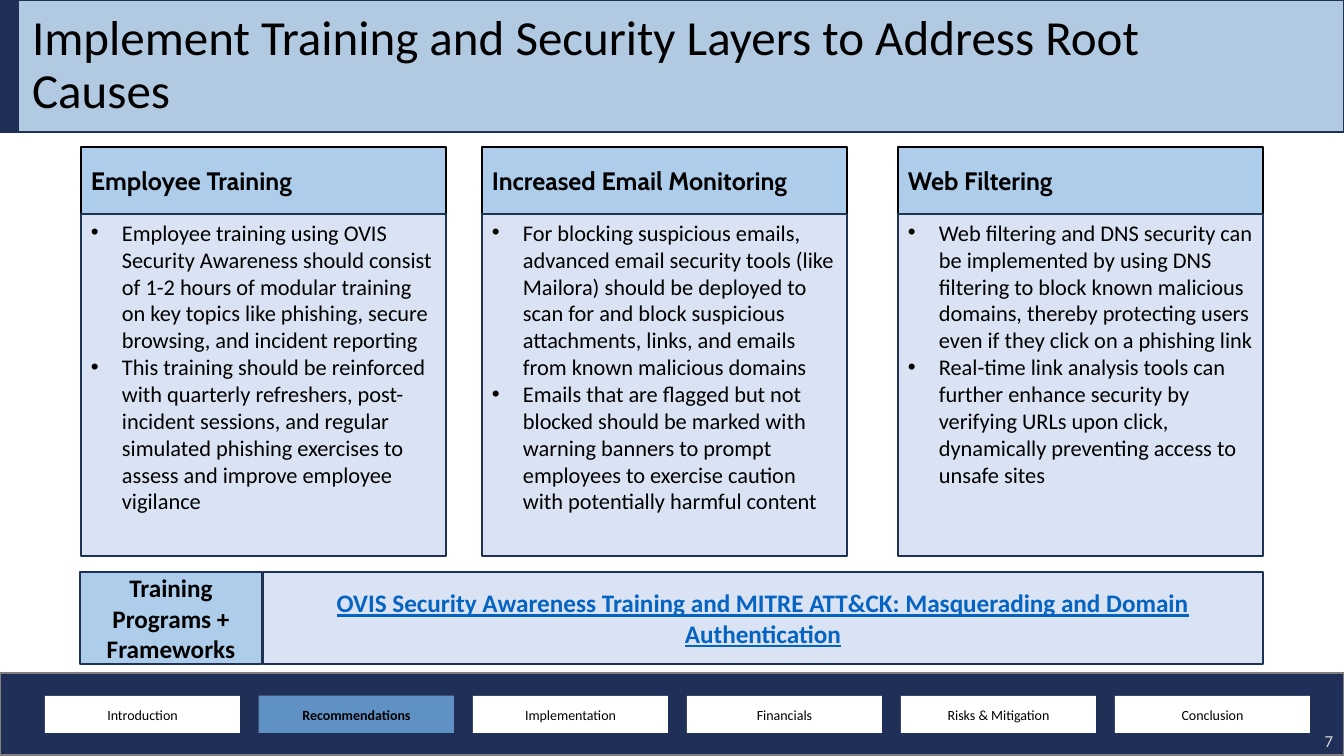
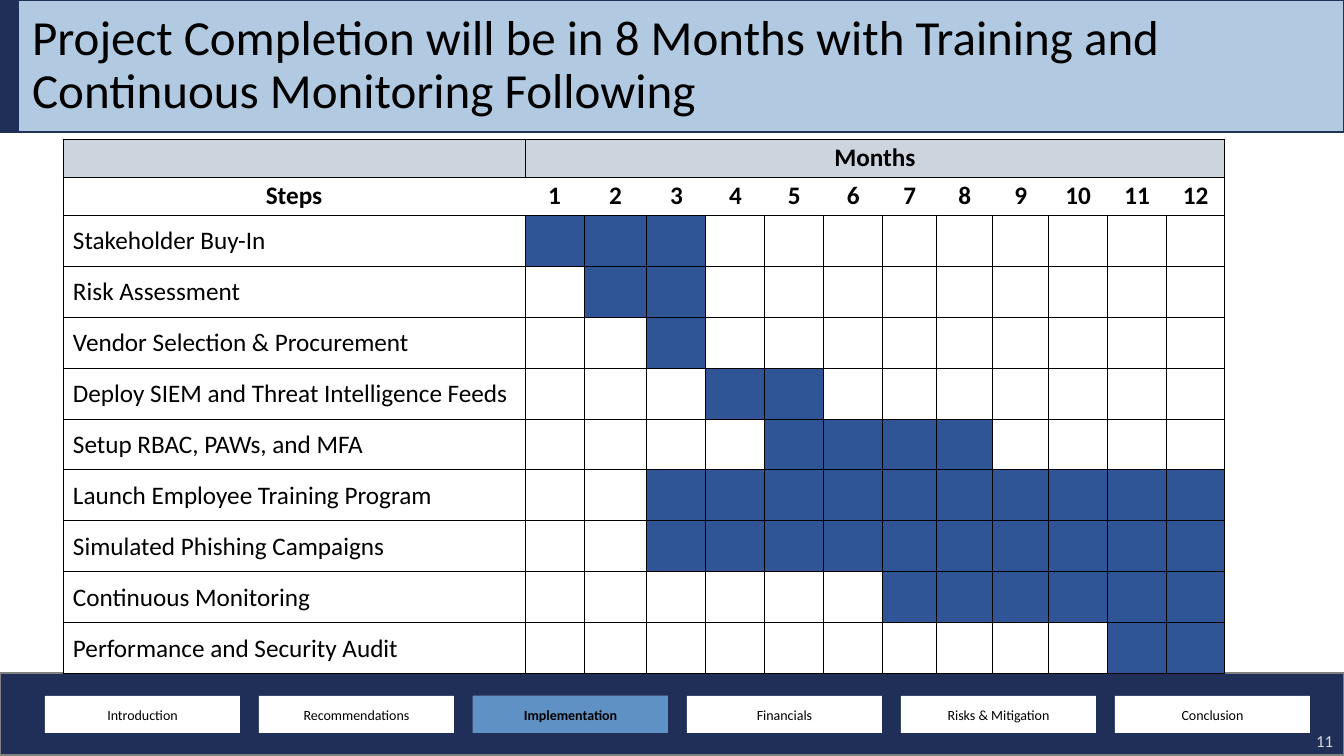
from dataclasses import dataclass

from lxml.etree import SubElement
from pptx import Presentation
from pptx.dml.color import RGBColor
from pptx.enum.shapes import MSO_SHAPE
from pptx.enum.text import MSO_ANCHOR, MSO_AUTO_SIZE, PP_ALIGN
from pptx.oxml.ns import qn
from pptx.util import Pt

EMU_PER_PX = 914400 / 100.8
SLIDE_WIDTH, SLIDE_HEIGHT = 1344, 756


@dataclass(frozen=True)
class Theme:
    # Colours
    navy: str = "1F2F57"
    outline: str = "1E3256"
    title_band: str = "6091C3"
    footer_line: str = "808080"
    active_tab: str = "6091C4"
    card_header: str = "5B9BD5"
    card_body: str = "DAE3F3"
    framework: str = "B4C7E7"
    link: str = "0563C1"
    table_header: str = "CCD4DE"
    scheduled: str = "2F5597"
    page_number: str = "D9D9D9"
    black: str = "000000"
    white: str = "FFFFFF"
    tint: int = 49
    # Type
    font: str = "Calibri"
    header_font: str = "Cabin"
    title_size: int = 35
    heading_size: int = 18
    body_size: int = 16
    number_size: int = 12
    tab_size: int = 10


THEME = Theme()

# Navigation tabs
TABS = ("Introduction", "Recommendations", "Implementation", "Financials",
        "Risks & Mitigation", "Conclusion")
TAB_LEFT, TAB_TOP, TAB_WIDTH, TAB_HEIGHT, TAB_PITCH = 45, 696, 195, 37, 214

# Recommendation cards: left edge, heading, bullets
CARDS = (
    (81, "Employee Training", (
        "Employee training using OVIS Security Awareness should consist of 1-2 hours of "
        "modular training on key topics like phishing, secure browsing, and incident reporting",
        "This training should be reinforced with quarterly refreshers, post-incident sessions, "
        "and regular simulated phishing exercises to assess and improve employee vigilance")),
    (482, "Increased Email Monitoring", (
        "For blocking suspicious emails, advanced email security tools (like Mailora) should be "
        "deployed to scan for and block suspicious attachments, links, and emails from known "
        "malicious domains",
        "Emails that are flagged but not blocked should be marked with warning banners to prompt "
        "employees to exercise caution with potentially harmful content")),
    (898, "Web Filtering", (
        "Web filtering and DNS security can be implemented by using DNS filtering to block known "
        "malicious domains, thereby protecting users even if they click on a phishing link",
        "Real-time link analysis tools can further enhance security by verifying URLs upon click, "
        "dynamically preventing access to unsafe sites")),
)

# Schedule: step, first month, last month
STEPS = (
    ("Stakeholder Buy-In", 1, 3),
    ("Risk Assessment", 2, 3),
    ("Vendor Selection & Procurement", 3, 3),
    ("Deploy SIEM and Threat Intelligence Feeds", 4, 5),
    ("Setup RBAC, PAWs, and MFA", 5, 8),
    ("Launch Employee Training Program", 3, 12),
    ("Simulated Phishing Campaigns", 3, 12),
    ("Continuous Monitoring", 7, 12),
    ("Performance and Security Audit", 11, 12),
)
COLUMN_WIDTHS = (462, 59, 63, 59, 59, 59, 59, 54, 56, 56, 59, 59, 58)
HEADER_ROW, STEP_ROW = 38, 51
MONTHS = len(COLUMN_WIDTHS) - 1


def px(length):
    return round(length * EMU_PER_PX)


def box(left, top, width, height):
    return px(left), px(top), px(width), px(height)


def rgb(colour):
    return RGBColor.from_string(colour)


def format_paragraph(paragraph, size, colour=THEME.black, font=THEME.font, bold=False,
                     align=PP_ALIGN.LEFT, underline=False):
    paragraph.alignment = align
    for run in paragraph.runs:
        run.font.name = font
        run.font.size = Pt(size)
        run.font.bold = bold
        run.font.underline = underline
        run.font.color.rgb = rgb(colour)


def add_bullet(paragraph, indent):
    properties = paragraph._p.get_or_add_pPr()
    properties.set("marL", str(px(indent)))
    properties.set("indent", str(-px(indent)))
    SubElement(properties, qn("a:buFont"), typeface="Arial")
    SubElement(properties, qn("a:buChar"), char="•")


def add_box(slide, bounds, fill, line=None, tint=False):
    shape = slide.shapes.add_shape(MSO_SHAPE.RECTANGLE, *box(*bounds))
    shape.shadow.inherit = False
    shape.fill.solid()
    shape.fill.fore_color.rgb = rgb(fill)
    if tint:
        colour = shape.element.find(".//" + qn("a:srgbClr"))
        SubElement(colour, qn("a:alpha"), val=str(THEME.tint * 1000))
    if line:
        shape.line.color.rgb = rgb(line)
        shape.line.width = Pt(1)
    else:
        shape.line.fill.background()
    return shape


def add_label(slide, bounds, text, fill, size, line=None, tint=False, **style):
    shape = add_box(slide, bounds, fill, line, tint)
    shape.text_frame.word_wrap = True
    shape.text_frame.vertical_anchor = MSO_ANCHOR.MIDDLE
    shape.text_frame.text = text
    format_paragraph(shape.text_frame.paragraphs[0], size, **style)


def add_tab(slide, name, active=False):
    left = TAB_LEFT + TABS.index(name) * TAB_PITCH
    add_label(slide, (left, TAB_TOP, TAB_WIDTH, TAB_HEIGHT), name,
              THEME.active_tab if active else THEME.white, THEME.tab_size,
              bold=active, align=PP_ALIGN.CENTER)


def build_layout(presentation):
    """Put the bands, the tabs and the title position on the shared layout."""
    layout = presentation.slide_layouts.get_by_name("Title Only")
    title = layout.placeholders[0]
    title.left, title.top, title.width, title.height = box(22, 0, 1159, 132)
    return layout


def fill_layout(layout, slide):
    """Draw the shared parts, then move them behind the layout's placeholders."""
    add_box(slide, (18, 0, 1326, 132), THEME.title_band, THEME.outline, tint=True)
    add_box(slide, (0, 0, 18, 132), THEME.navy, THEME.navy)
    add_box(slide, (0, 673, SLIDE_WIDTH, 82), THEME.navy, THEME.footer_line)
    for name in TABS:
        add_tab(slide, name)
    parts = [shape for shape in slide.shapes if not shape.is_placeholder]
    for index, shape in enumerate(parts):
        shape.element.find(".//" + qn("p:cNvPr")).set("id", str(100 + index))
        layout.shapes.element.insert(2 + index, shape.element)


def add_title(slide, text):
    text_frame = slide.shapes.title.text_frame
    text_frame.text = text
    text_frame.word_wrap = True
    text_frame.auto_size = MSO_AUTO_SIZE.NONE
    text_frame.vertical_anchor = MSO_ANCHOR.MIDDLE
    paragraph = text_frame.paragraphs[0]
    paragraph.line_spacing = 0.9
    format_paragraph(paragraph, THEME.title_size)


def add_page_marks(slide, section, number):
    add_tab(slide, section, active=True)
    text_frame = slide.shapes.add_textbox(*box(1041, 721, 302, 40)).text_frame
    text_frame.word_wrap = True
    text_frame.vertical_anchor = MSO_ANCHOR.MIDDLE
    text_frame.text = str(number)
    format_paragraph(text_frame.paragraphs[0], THEME.number_size, THEME.page_number,
                     align=PP_ALIGN.RIGHT)


def add_card(slide, left, heading, bullets):
    add_label(slide, (left, 147, 365, 67), heading, THEME.card_header, THEME.heading_size,
              THEME.black, tint=True, font=THEME.header_font, bold=True)
    body = add_box(slide, (left, 214, 365, 342), THEME.card_body, THEME.outline)
    text_frame = body.text_frame
    text_frame.word_wrap = True
    text_frame.vertical_anchor = MSO_ANCHOR.TOP
    text_frame.text = "\n".join(bullets)
    for paragraph in text_frame.paragraphs:
        add_bullet(paragraph, 31)
        format_paragraph(paragraph, THEME.body_size)


def add_frameworks(slide):
    style = dict(size=THEME.heading_size, line=THEME.outline, tint=True, bold=True,
                 align=PP_ALIGN.CENTER)
    add_label(slide, (263, 572, 1000, 92),
              "OVIS Security Awareness Training and MITRE ATT&CK: Masquerading and Domain "
              "Authentication", THEME.framework, colour=THEME.link, underline=True, **style)
    add_label(slide, (80, 572, 182, 92), "Training Programs + Frameworks",
              THEME.card_header, **style)


def format_cell(cell, fill, text="", bold=False, align=PP_ALIGN.CENTER, sides="LRTB"):
    properties = cell._tc.get_or_add_tcPr()
    for side in "LRTB":
        line = SubElement(properties, qn(f"a:ln{side}"), w=str(Pt(0.75)))
        if side in sides:
            solid = SubElement(line, qn("a:solidFill"))
            SubElement(solid, qn("a:srgbClr"), val=THEME.black)
        else:
            SubElement(line, qn("a:noFill"))
    cell.fill.solid()
    cell.fill.fore_color.rgb = rgb(fill)
    cell.vertical_anchor = MSO_ANCHOR.MIDDLE
    cell.margin_left = cell.margin_right = px(10)
    cell.margin_top = cell.margin_bottom = 0
    if text:
        cell.text_frame.text = text
        format_paragraph(cell.text_frame.paragraphs[0], THEME.heading_size,
                         bold=bold, align=align)


def add_schedule(slide):
    heights = [HEADER_ROW] * 2 + [STEP_ROW] * len(STEPS)
    frame = slide.shapes.add_table(len(heights), len(COLUMN_WIDTHS),
                                   *box(63, 139, sum(COLUMN_WIDTHS), sum(heights)))
    table = frame.table
    for column, width in zip(table.columns, COLUMN_WIDTHS):
        column.width = px(width)
    for row, height in zip(table.rows, heights):
        row.height = px(height)

    # Header rows
    for column in range(MONTHS + 1):
        format_cell(table.cell(0, column), THEME.table_header,
                    "Months" if column == 1 else "", bold=True)
        sides = "TB" + {0: "L", MONTHS: "R"}.get(column, "")
        format_cell(table.cell(1, column), THEME.white, str(column) if column else "Steps",
                    bold=True, sides=sides)
    table.cell(0, 1).merge(table.cell(0, MONTHS))

    # One row per step
    for row, (step, first, last) in enumerate(STEPS, start=2):
        format_cell(table.cell(row, 0), THEME.white, step, align=PP_ALIGN.LEFT)
        for month in range(1, MONTHS + 1):
            fill = THEME.scheduled if first <= month <= last else THEME.white
            format_cell(table.cell(row, month), fill)


def main():
    presentation = Presentation()
    presentation.slide_width, presentation.slide_height = px(SLIDE_WIDTH), px(SLIDE_HEIGHT)
    layout = build_layout(presentation)

    # Recommendations
    slide = presentation.slides.add_slide(layout)
    fill_layout(layout, slide)
    add_title(slide, "Implement Training and Security Layers to Address Root Causes")
    for card in CARDS:
        add_card(slide, *card)
    add_frameworks(slide)
    add_page_marks(slide, "Recommendations", 7)

    # Implementation
    slide = presentation.slides.add_slide(layout)
    add_title(slide, "Project Completion will be in 8 Months with Training and "
                     "Continuous Monitoring Following")
    add_schedule(slide)
    add_page_marks(slide, "Implementation", 11)

    presentation.save("out.pptx")


if __name__ == "__main__":
    main()
